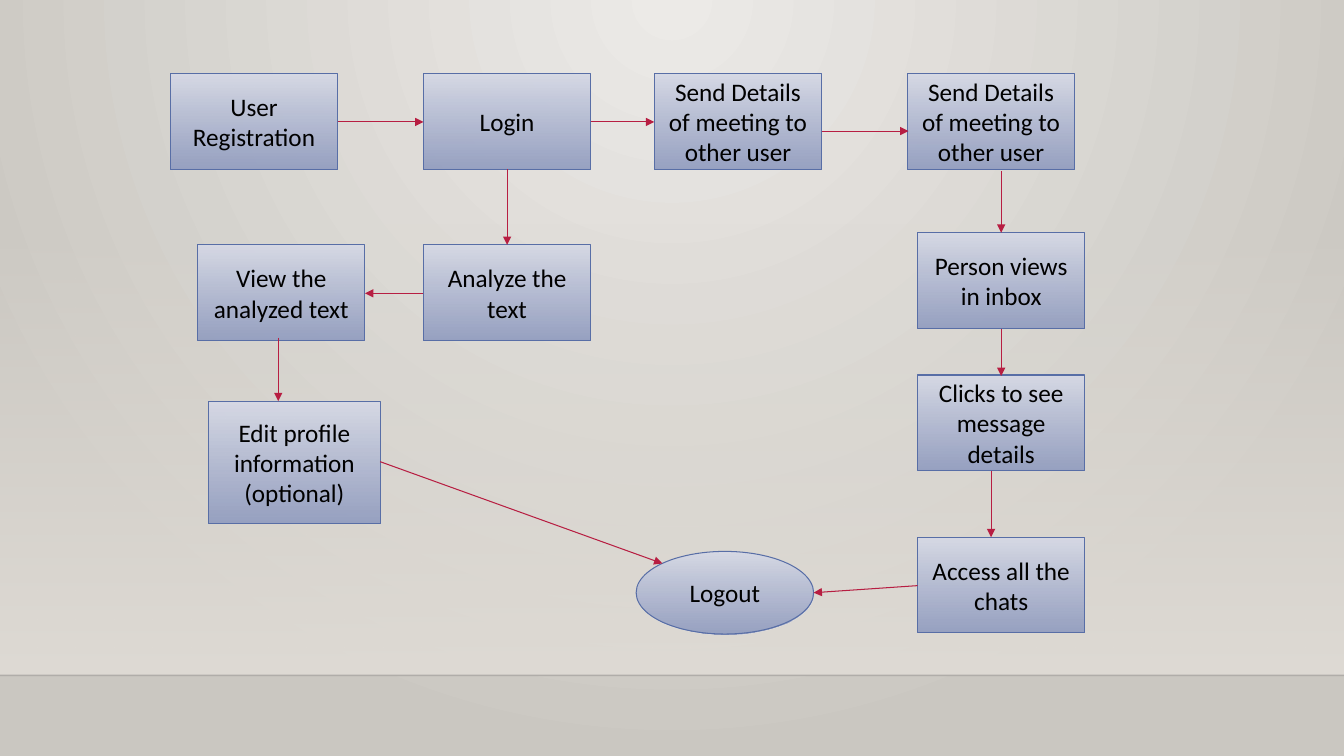
from lxml import etree
from pptx import Presentation
from pptx.dml.color import RGBColor
from pptx.enum.shapes import MSO_CONNECTOR, MSO_SHAPE
from pptx.enum.text import MSO_ANCHOR, PP_ALIGN
from pptx.oxml.ns import qn
from pptx.util import Inches, Pt

RECTANGLE, OVAL = MSO_SHAPE.RECTANGLE, MSO_SHAPE.OVAL
STRAIGHT = MSO_CONNECTOR.STRAIGHT
MIDDLE, CENTER = MSO_ANCHOR.MIDDLE, PP_ALIGN.CENTER

BOX_WIDTH, BOX_HEIGHT = 1.66, 0.95
TOP_ROW, SECOND_ROW = 0.73, 2.43
LOGIN_LEFT, INBOX_LEFT = 4.2, 9.1


def paint_gradient(fill, element, colours, opacities=(100, 100)):
    """Fill from top to bottom; opacities are percentages."""
    fill.gradient()
    fill.gradient_angle = 270
    for stop, colour in zip(fill.gradient_stops, colours):
        stop.color.rgb = RGBColor.from_string(colour)
    gradient = next(element.iter(qn("a:gradFill")))
    for colour, opacity in zip(gradient.iter(qn("a:srgbClr")), opacities):
        if opacity < 100:
            etree.SubElement(colour, qn("a:alpha"), val=str(opacity * 1000))
    return gradient


def add_box(text, left, top, width=BOX_WIDTH, height=BOX_HEIGHT, kind=RECTANGLE,
            size=18, font="Calibri", colour="000000"):
    box = page.shapes.add_shape(kind, Inches(left), Inches(top), Inches(width), Inches(height))
    box.shadow.inherit = False
    paint_gradient(box.fill, box.element, ("D6D9E5", "929DC0"), (100, 92))
    box.line.color.rgb = RGBColor.from_string("586EA6")
    box.line.width = Pt(0.75)
    box.text_frame.word_wrap = True
    box.text_frame.vertical_anchor = MIDDLE
    para = box.text_frame.paragraphs[0]
    para.alignment = CENTER
    span = para.add_run()
    span.text = text
    span.font.size = Pt(size)
    span.font.name = font
    span.font.color.rgb = RGBColor.from_string(colour)


deck = Presentation()
deck.slide_width, deck.slide_height = Inches(13.33), Inches(7.5)
page = deck.slides.add_slide(deck.slide_layouts[6])

# Backdrop: a glow from the top centre, and a wall that fades in above the floor
glow = paint_gradient(page.background.fill, page.element, ("ECEAE7", "CAC7C1"))
glow.remove(glow.find(qn("a:lin")))
circle = etree.SubElement(glow, qn("a:path"), path="circle")
etree.SubElement(circle, qn("a:fillToRect"), l="43000", t="0", r="43000", b="100000")

wall = page.shapes.add_shape(RECTANGLE, 0, Inches(2.21), deck.slide_width, Inches(4.49))
wall.shadow.inherit = False
wall.line.fill.background()
paint_gradient(wall.fill, wall.element, ("DFDBD5", "DFDBD5"), (0, 100))

# Steps of the flow
for text, left in (
    ("User Registration", 1.69),
    ("Login", LOGIN_LEFT),
    ("Send Details of meeting to other user", 6.49),
    ("Send Details of meeting to other user", 9),
):
    add_box(text, left, TOP_ROW)
add_box("Analyze the text", LOGIN_LEFT, SECOND_ROW)
add_box("View the analyzed text", 1.96, SECOND_ROW)
for text, top in (
    ("Person views in inbox", 2.31),
    ("Clicks to see message details", 3.72),
    ("Access all the chats", 5.33),
):
    add_box(text, INBOX_LEFT, top)
add_box("Logout", 6.31, 5.47, width=1.76, height=0.82, kind=OVAL)
add_box("Edit profile information (optional)", 2.07, 3.98, width=1.7, height=1.21)

# Floor edge, then the arrows between steps
floor_edge = (0, 6.7, 13.33, 6.7)
arrows = (
    (3.35, 1.21, 4.2, 1.21),
    (5.86, 1.21, 6.49, 1.21),
    (8.15, 1.3, 9.01, 1.3),
    (5.03, 1.68, 5.03, 2.43),
    (9.93, 1.7, 9.93, 2.31),
    (9.93, 3.26, 9.93, 3.73),
    (9.83, 4.67, 9.83, 5.33),
    (2.76, 3.35, 2.76, 3.98),
    (4.2, 2.91, 3.62, 2.91),
    (9.1, 5.81, 8.07, 5.88),
    (3.77, 4.58, 6.57, 5.59),
)
for ends in (floor_edge, *arrows):
    is_arrow = ends != floor_edge
    link = page.shapes.add_connector(STRAIGHT, *(Inches(value) for value in ends))
    link.line.color.rgb = RGBColor.from_string("B71E42" if is_arrow else "000001")
    link.line.width = Pt(0.75 if is_arrow else 1)
    properties = link.element.spPr
    outline = properties.find(qn("a:ln"))
    if is_arrow:
        etree.SubElement(outline, qn("a:tailEnd"), type="triangle")
    else:
        etree.SubElement(next(outline.iter(qn("a:srgbClr"))), qn("a:alpha"), val="20000")
    etree.SubElement(properties, qn("a:effectLst"))

deck.save("out.pptx")
